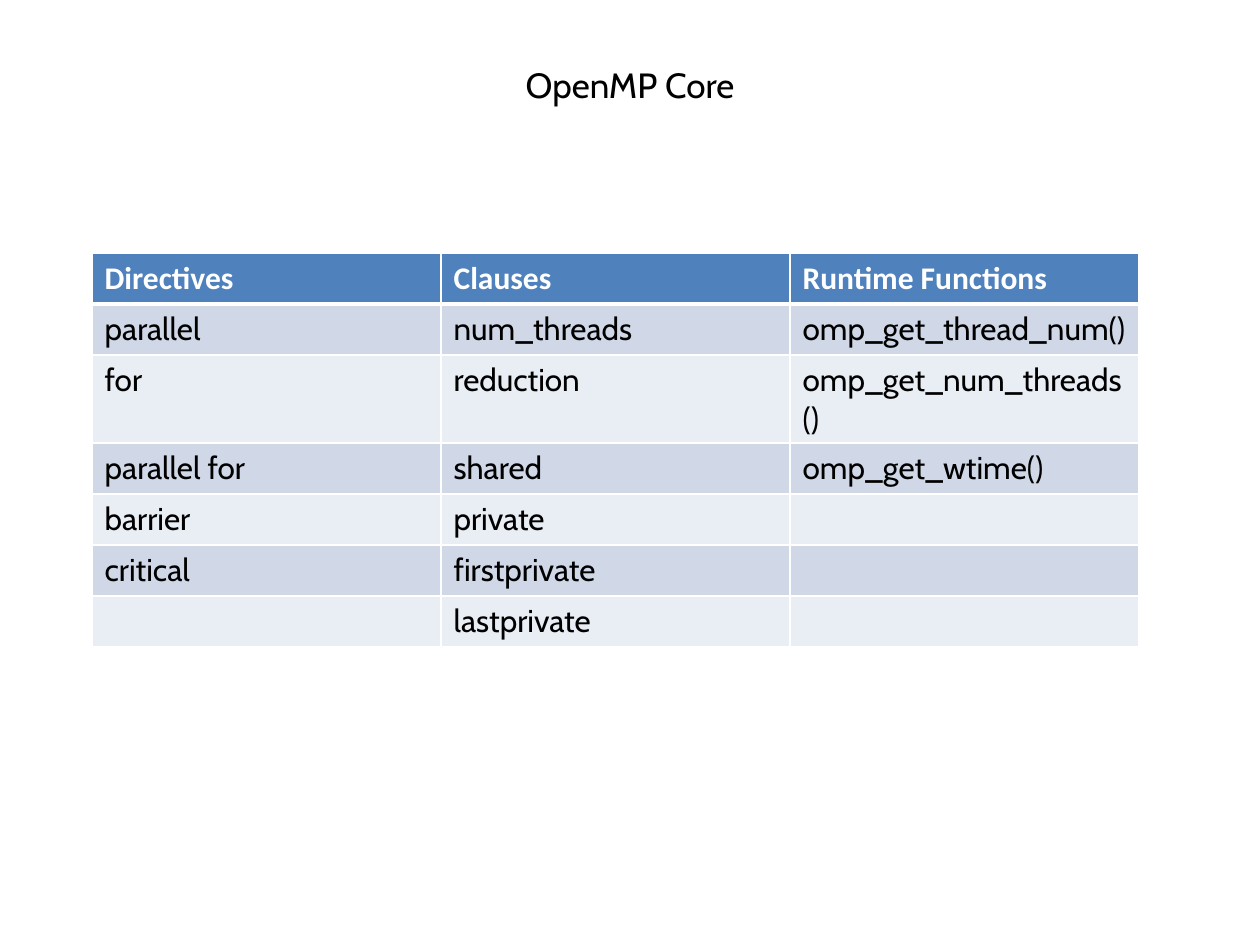
from typing import NamedTuple

from lxml import etree
from pptx import Presentation
from pptx.dml.color import RGBColor
from pptx.enum.text import MSO_ANCHOR, MSO_AUTO_SIZE, PP_ALIGN
from pptx.oxml.ns import qn
from pptx.util import Emu, Pt

CENTER = PP_ALIGN.CENTER
TOP = MSO_ANCHOR.TOP
GROW = MSO_AUTO_SIZE.SHAPE_TO_FIT_TEXT

EMU_PER_PX = 914400 // 126
TITLE_ONLY = 5
COLUMN_WIDTH, ROW_HEIGHT = 349, 51


class CellStyle(NamedTuple):
    font: str
    color: str
    bold: bool
    fill: str
    bottom_border: int


HEADER = CellStyle("Calibri", "FFFFFF", True, "4F81BD", 3)
BANDS = [
    CellStyle("Cabin", "000000", False, "D0D8E8", 1),
    CellStyle("Cabin", "000000", False, "E9EDF4", 1),
]

ROWS = [
    ("Directives", "Clauses", "Runtime Functions"),
    ("parallel", "num_threads", "omp_get_thread_num()"),
    ("for", "reduction", "omp_get_num_threads()"),
    ("parallel for", "shared", "omp_get_wtime()"),
    ("barrier", "private", ""),
    ("critical", "firstprivate", ""),
    ("", "lastprivate", ""),
]


def px(length: int) -> Emu:
    return Emu(length * EMU_PER_PX)


def rgb(value: str) -> RGBColor:
    return RGBColor.from_string(value)


def add_run(paragraph, text: str, font: str, size: int, color: str, bold: bool = False) -> None:
    run = paragraph.add_run()
    run.text = text
    run.font.name = font
    run.font.size = Pt(size)
    run.font.bold = bold
    run.font.color.rgb = rgb(color)


def add_border(cell, side: str, width: int) -> None:
    properties = cell._tc.get_or_add_tcPr()
    line = etree.SubElement(properties, qn(f"a:ln{side}"), w=str(Pt(width)))
    fill = etree.SubElement(line, qn("a:solidFill"))
    etree.SubElement(fill, qn("a:srgbClr"), val="FFFFFF")


def format_cell(cell, text: str, style: CellStyle, top_border: int) -> None:
    # Borders come before the fill in the cell properties
    widths = {"L": 1, "R": 1, "T": top_border, "B": style.bottom_border}
    for side, width in widths.items():
        add_border(cell, side, width)
    cell.fill.solid()
    cell.fill.fore_color.rgb = rgb(style.fill)
    paragraph = cell.text_frame.paragraphs[0]
    if text:
        add_run(paragraph, text, style.font, 18, style.color, style.bold)
    else:
        paragraph.font.size = Pt(18)


def add_title(slide) -> None:
    title = slide.shapes.title
    title.left, title.top, title.width, title.height = px(0), px(57), px(1260), px(55)
    frame = title.text_frame
    frame.word_wrap = True
    frame.auto_size = GROW
    frame.vertical_anchor = TOP
    paragraph = frame.paragraphs[0]
    paragraph.alignment = CENTER
    add_run(paragraph, "OpenMP Core", "Cabin", 20, "000000")


def add_core_table(slide) -> None:
    row_count, column_count = len(ROWS), len(ROWS[0])
    table = slide.shapes.add_table(
        row_count, column_count, px(92), px(253),
        px(COLUMN_WIDTH * column_count), px(ROW_HEIGHT * row_count),
    ).table
    for column in table.columns:
        column.width = px(COLUMN_WIDTH)
    for row in table.rows:
        row.height = px(ROW_HEIGHT)

    # Header row, then alternating bands
    styles = [HEADER] + [BANDS[index % 2] for index in range(row_count - 1)]
    top_border = 1
    for row, texts, style in zip(table.rows, ROWS, styles):
        for cell, text in zip(row.cells, texts):
            format_cell(cell, text, style, top_border)
        top_border = style.bottom_border


def main() -> None:
    presentation = Presentation()
    presentation.slide_width = px(1260)
    presentation.slide_height = px(945)
    slide = presentation.slides.add_slide(presentation.slide_layouts[TITLE_ONLY])
    add_title(slide)
    add_core_table(slide)
    presentation.save("out.pptx")


if __name__ == "__main__":
    main()
